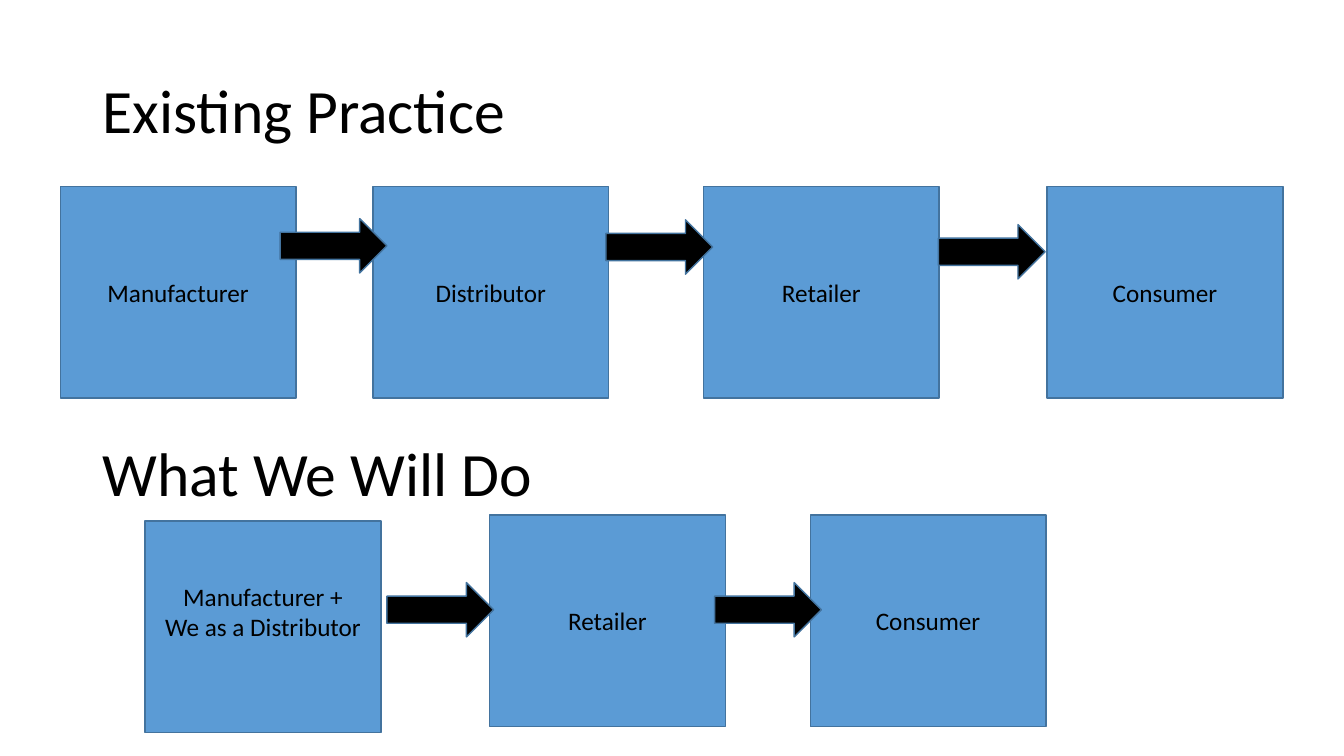
from pptx import Presentation
from pptx.dml.color import RGBColor
from pptx.enum.shapes import MSO_SHAPE
from pptx.enum.text import MSO_ANCHOR, PP_ALIGN
from pptx.util import Cm, Pt

RECT, ARROW = MSO_SHAPE.RECTANGLE, MSO_SHAPE.RIGHT_ARROW
MIDDLE = MSO_ANCHOR.MIDDLE
LEFT, CENTER = PP_ALIGN.LEFT, PP_ALIGN.CENTER

FONT = "Calibri"
BLACK, BLUE, EDGE = "000000", "5B9BD5", "43739E"
BOX_W, BOX_H = 5.94, 5.33
ARROW_W, ARROW_H = 2.69, 1.37
HEADING_W, HEADING_H = 29.21, 3.68


def color(hex_value):
    return RGBColor.from_string(hex_value)


def write(sp, text, size, align, **frame):
    tf = sp.text_frame
    for name, value in {"word_wrap": True, "vertical_anchor": MIDDLE, **frame}.items():
        setattr(tf, name, value)
    p = tf.paragraphs[0]
    p.text = text
    p.alignment = align
    for r in p.runs:
        for name, value in {"name": FONT, "size": Pt(size)}.items():
            setattr(r.font, name, value)
        r.font.color.rgb = color(BLACK)
    return p


def add_block(s, kind, x, y, w, h, fill):
    sp = s.shapes.add_shape(kind, Cm(x), Cm(y), Cm(w), Cm(h))
    sp.shadow.inherit = False
    sp.fill.solid()
    sp.fill.fore_color.rgb = color(fill)
    sp.line.color.rgb = color(EDGE)
    sp.line.width = Pt(1)
    return sp


def add_chain(s, x, y, heading, steps, arrows):
    """Heading with a chain of steps; offsets are from the heading's corner."""
    # Heading
    sp = s.shapes.add_textbox(Cm(x), Cm(y), Cm(HEADING_W), Cm(HEADING_H))
    write(sp, heading, 44, LEFT).line_spacing = 0.9

    # Steps, with text raised by a deeper bottom margin where given
    for text, dx, dy, bottom in steps:
        sp = add_block(s, RECT, x + dx, y + dy, BOX_W, BOX_H, BLUE)
        write(sp, text, 18, CENTER, margin_bottom=Cm(bottom))

    # Arrows between the steps
    for dx, dy in arrows:
        add_block(s, ARROW, x + dx, y + dy, ARROW_W, ARROW_H, BLACK)


prs = Presentation()
prs.slide_width, prs.slide_height = Cm(33.87), Cm(19.05)
s = prs.slides.add_slide(prs.slide_layouts[6])

add_chain(
    s, 2.34, 1.02, "Existing Practice",
    [("Manufacturer", -0.82, 3.68, 0.13), ("Distributor", 7.06, 3.68, 0.13),
     ("Retailer", 15.39, 3.68, 0.13), ("Consumer", 24.05, 3.68, 0.13)],
    [(4.72, 4.49), (12.93, 4.52), (21.31, 4.64)],
)
add_chain(
    s, 2.34, 10.16, "What We Will Do",
    [("Manufacturer +\vWe as a Distributor", 1.32, 2.97, 0.9),
     ("Retailer", 10, 2.82, 0.13), ("Consumer", 18.08, 2.82, 0.13)],
    [(7.41, 4.52), (15.67, 4.52)],
)

prs.save("out.pptx")
